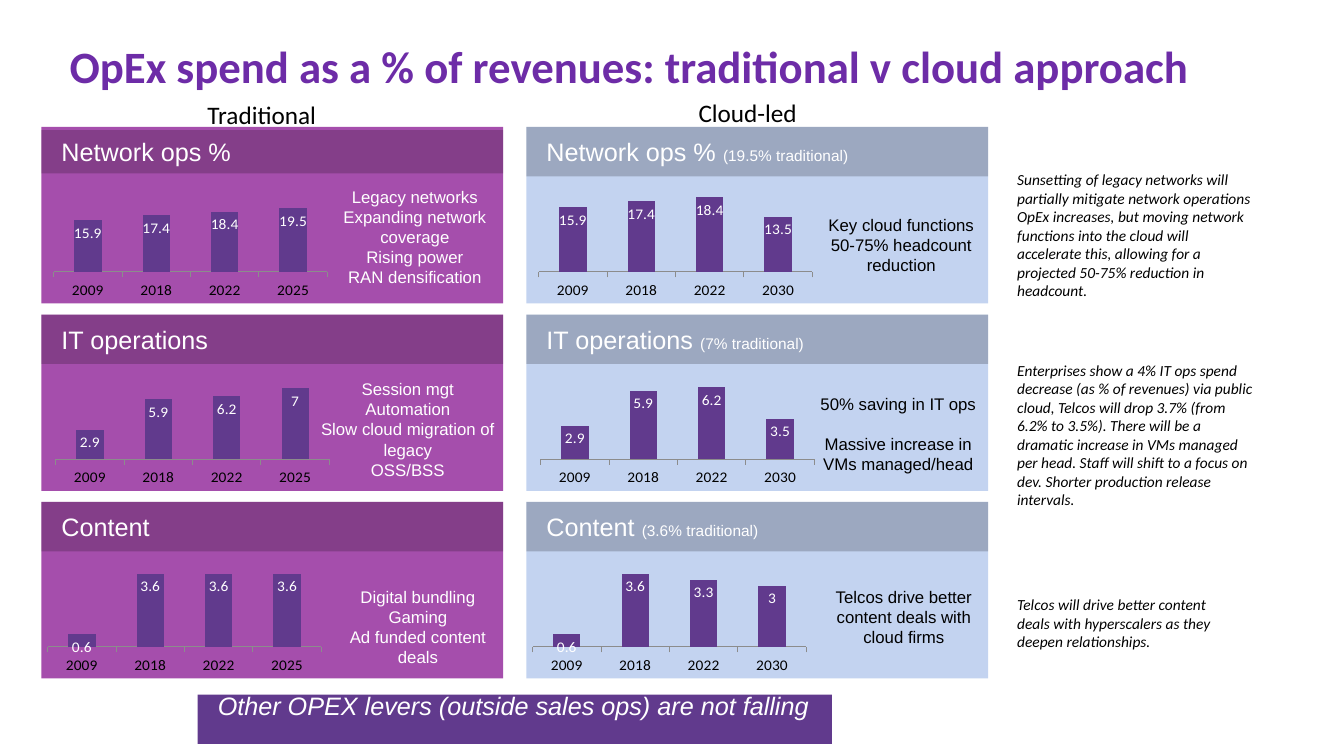
from lxml import etree
from pptx import Presentation
from pptx.chart.data import CategoryChartData
from pptx.dml.color import RGBColor
from pptx.enum import chart as charts, shapes, text
from pptx.oxml import parse_xml
from pptx.oxml.ns import nsdecls, qn
from pptx.util import Inches, Pt

WHITE, BLACK = RGBColor(255, 255, 255), RGBColor(0, 0, 0)
TITLE_PURPLE = RGBColor(0x6D, 0x2C, 0xA7)
BAR_PURPLE = RGBColor(0x61, 0x3A, 0x8D)
MAGENTA = RGBColor(0xA5, 0x4E, 0xAC)
PALE_BLUE = RGBColor(0xC3, 0xD3, 0xF0)
AXIS_GREY = RGBColor(0x8C, 0x8C, 0x8C)

TITLE = "OpEx spend as a % of revenues: traditional v cloud approach"
BANNER = "Other OPEX levers (outside sales ops) are not falling"
ROW_NAMES = ["Network ops %", "IT operations", "Content"]

# Each panel: header suffix, bar values, remarks, remarks (left, top, width) within the panel
COLUMNS = [
    dict(heading="Traditional", heading_at=(1.96, 0.94), left=0.41, fill=MAGENTA, ink=WHITE,
         years=["2009", "2018", "2022", "2025"],
         panels=[
             ("", [15.9, 17.4, 18.4, 19.5],
              ["Legacy networks", "Expanding network coverage", "Rising power",
               "RAN densification"], (2.78, 0.54, 1.85)),
             ("", [2.9, 5.9, 6.2, 7],
              ["Session mgt", "Automation", "Slow cloud migration of legacy", "OSS/BSS"],
              (2.66, 0.59, 1.95)),
             ("", [0.6, 3.6, 3.6, 3.6],
              ["Digital bundling", "Gaming", "Ad funded content", "deals"],
              (2.84, 0.79, 1.79)),
         ]),
    dict(heading="Cloud-led", heading_at=(6.83, 0.92), left=5.22, fill=PALE_BLUE, ink=BLACK,
         years=["2009", "2018", "2022", "2030"],
         panels=[
             ("(19.5% traditional)", [15.9, 17.4, 18.4, 13.5],
              ["Key cloud functions", "50-75% headcount", "reduction"], (2.89, 0.82, 1.66)),
             ("(7% traditional)", [2.9, 5.9, 6.2, 3.5],
              ["50% saving in IT ops", "Massive increase in", "VMs managed/head"],
              (2.79, 0.74, 1.8)),
             ("(3.6% traditional)", [0.6, 3.6, 3.3, 3],
              ["Telcos drive better", "content deals with cloud firms"], (2.85, 0.79, 1.79)),
         ]),
]
NOTES = [
    ("Sunsetting of legacy networks will partially mitigate network operations OpEx increases, "
     "but moving network functions into the cloud will accelerate this, allowing for a projected "
     "50-75% reduction in headcount.", 1.64, 2.56),
    ("Enterprises show a 4% IT ops spend decrease (as % of revenues) via public cloud, Telcos "
     "will drop 3.7% (from 6.2% to 3.5%). There will be a dramatic increase in VMs managed per "
     "head. Staff will shift to a focus on dev. Shorter production release intervals.",
     3.53, 2.57),
    ("Telcos will drive better content deals with hyperscalers as they deepen relationships.",
     5.86, 2.42),
]

ROW_TOP, ROW_STEP = 1.26, 1.86
PANEL_WIDTH, PANEL_HEIGHT, HEADER_HEIGHT = 4.58, 1.75, 0.49
CHART_SHIFTS = [0.02, 0.04, -0.04]
CHART_TOP, CHART_WIDTH, CHART_HEIGHT = 0.53, 2.92, 1.18
PLOT_SHARES = dict(x=0.035, y=0.09, w=0.93, h=0.71)
PARAGRAPH_GAPS = {"Massive increase in": 14}


def style(font, size, colour, name="Arial", italic=False):
    font.size, font.name, font.italic = Pt(size), name, italic
    font.color.rgb = colour


def add_block(page, left, top, width, height, fill, opacity=None):
    block = page.shapes.add_shape(shapes.MSO_SHAPE.RECTANGLE, *map(Inches, (left, top, width, height)))
    block.shadow.inherit = False
    block.line.fill.background()
    block.fill.solid()
    block.fill.fore_color.rgb = fill
    if opacity:
        colour = block.fill._xPr.find(".//" + qn("a:srgbClr"))
        etree.SubElement(colour, qn("a:alpha")).set("val", str(opacity * 1000))
    return block


def write_label(block, pieces, bottom=0.05, italic=False):
    """Fill a bar with left-aligned (words, size) runs, centred vertically."""
    frame = block.text_frame
    frame.word_wrap = True
    frame.vertical_anchor = text.MSO_ANCHOR.MIDDLE
    frame.margin_left = frame.margin_right = Inches(0.2)
    frame.margin_top, frame.margin_bottom = Inches(0.05), Inches(bottom)
    para = frame.paragraphs[0]
    para.alignment = text.PP_ALIGN.LEFT
    for words, size in pieces:
        span = para.add_run()
        span.text = words
        style(span.font, size, WHITE, italic=italic)


def add_text(page, at, lines, size, colour, name="Calibri", italic=False, centred=False):
    box = page.shapes.add_textbox(*map(Inches, at))
    frame = box.text_frame
    frame.word_wrap = True
    if centred:
        frame.margin_left = frame.margin_right = Inches(0.05)
    frame.text = "\n".join(lines)
    for para in frame.paragraphs:
        para.alignment = text.PP_ALIGN.CENTER if centred else text.PP_ALIGN.LEFT
        if para.text in PARAGRAPH_GAPS:
            para.space_before = Pt(PARAGRAPH_GAPS[para.text])
        style(para.runs[0].font, size, colour, name, italic)


def add_bars(page, left, top, years, values):
    data = CategoryChartData()
    data.categories = years
    data.add_series("Series 1", values)
    chart = page.shapes.add_chart(
        charts.XL_CHART_TYPE.COLUMN_CLUSTERED,
        *map(Inches, (left, top, CHART_WIDTH, CHART_HEIGHT)), data).chart
    chart.has_legend = chart.has_title = False
    style(chart.font, 18, BLACK, "Calibri")
    chart.value_axis.visible = False
    chart.value_axis.has_major_gridlines = False
    axis = chart.category_axis
    axis.major_tick_mark = charts.XL_TICK_MARK.OUTSIDE
    axis.format.line.color.rgb = AXIS_GREY
    style(axis.tick_labels.font, 11, BLACK, "Calibri")

    plot = chart.plots[0]
    plot.gap_width = 150
    plot.vary_by_categories = False
    bars = plot.series[0]
    bars.format.fill.solid()
    bars.format.fill.fore_color.rgb = BAR_PURPLE
    labels = bars.data_labels
    labels.show_value = True
    labels.position = charts.XL_LABEL_POSITION.INSIDE_END
    style(labels.font, 11, WHITE, "Calibri")

    shares = "".join(f'<c:{key} val="{share}"/>' for key, share in PLOT_SHARES.items())
    area = chart._chartSpace.chart.plotArea
    for layout in area.findall(qn("c:layout")):
        area.remove(layout)
    area.insert(0, parse_xml(
        f'<c:layout {nsdecls("c")}><c:manualLayout><c:layoutTarget val="inner"/>'
        f'<c:xMode val="edge"/><c:yMode val="edge"/>{shares}</c:manualLayout></c:layout>'))


def add_column(page, column):
    left = column["left"]
    add_text(page, (*column["heading_at"], 1.5, 0.4), [column["heading"]], 18, BLACK)
    for row, (suffix, values, remarks, (dx, dy, width)) in enumerate(column["panels"]):
        top = ROW_TOP + row * ROW_STEP
        add_block(page, left, top, PANEL_WIDTH, PANEL_HEIGHT, column["fill"])
        inset = 0.03 if row == 0 and not suffix else 0
        header = add_block(page, left, top + inset, PANEL_WIDTH,
                           HEADER_HEIGHT - 2 * inset, BLACK, opacity=20)
        pieces = [(ROW_NAMES[row], 18)]
        if suffix:
            pieces = [(ROW_NAMES[row] + " ", 18), (suffix, 11)]
        write_label(header, pieces)
        add_bars(page, left + CHART_SHIFTS[row], top + CHART_TOP, column["years"], values)
        add_text(page, (left + dx, top + dy, width, 0.9), remarks, 12, column["ink"],
                 "Arial", centred=True)


def main():
    deck = Presentation()
    deck.slide_width, deck.slide_height = Inches(13.33), Inches(7.5)
    page = deck.slides.add_slide(deck.slide_layouts[5])

    title = page.shapes.title
    title.left, title.top, title.width, title.height = map(Inches, (0.59, 0.4, 12.33, 0.59))
    title.text_frame.text = TITLE
    title.text_frame.vertical_anchor = text.MSO_ANCHOR.MIDDLE
    para = title.text_frame.paragraphs[0]
    para.alignment, para.line_spacing = text.PP_ALIGN.LEFT, 0.85
    style(para.runs[0].font, 32, TITLE_PURPLE, "Calibri")
    para.runs[0].font.bold = True

    for column in COLUMNS:
        add_column(page, column)
    for words, top, width in NOTES:
        add_text(page, (9.99, top, width, 1.4), [words], 11, BLACK, italic=True)
    banner = add_block(page, 1.96, 6.89, 6.29, HEADER_HEIGHT, BAR_PURPLE)
    write_label(banner, [(BANNER, 18)], bottom=0.33, italic=True)
    deck.save("out.pptx")


if __name__ == "__main__":
    main()
